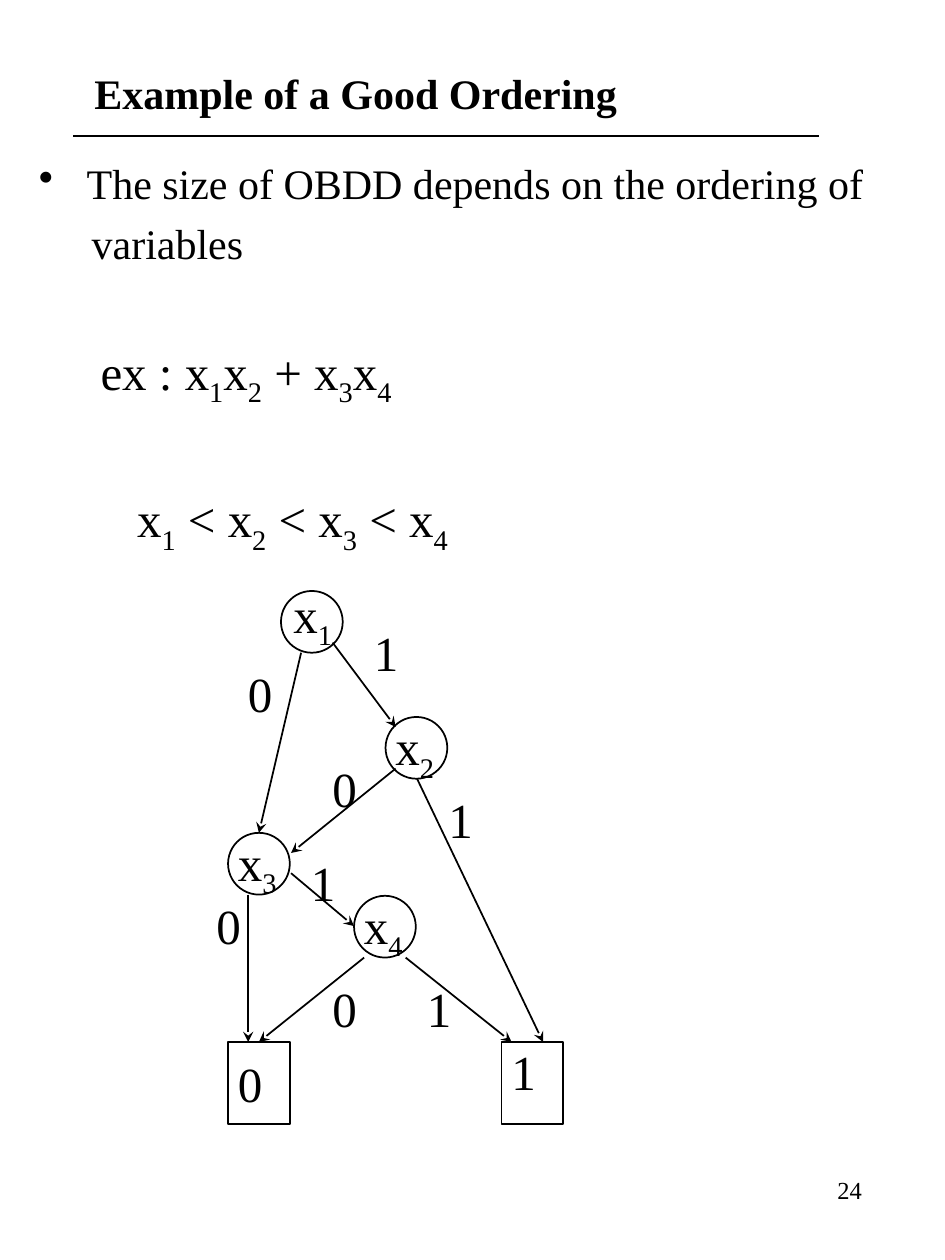
from lxml import etree
from pptx import Presentation
from pptx.dml.color import RGBColor
from pptx.enum.shapes import MSO_CONNECTOR, MSO_SHAPE
from pptx.enum.text import MSO_ANCHOR, PP_ALIGN
from pptx.oxml.ns import qn
from pptx.util import Inches, Pt

LINE = MSO_CONNECTOR.STRAIGHT
OVAL, RECT = MSO_SHAPE.OVAL, MSO_SHAPE.RECTANGLE
TOP, MID = MSO_ANCHOR.TOP, MSO_ANCHOR.MIDDLE
LEFT, RIGHT = PP_ALIGN.LEFT, PP_ALIGN.RIGHT
FONT = "Times New Roman"
COLORS = {"ink": "000000", "paper": "FFFFFF"}

TITLE = "Example of a Good Ordering"
PAGE = "24"
# text uses _ before each subscript digit
BODY = [
    ("The size of OBDD depends on the ordering of", 24, 0.38, 5.5, "•"),
    ("variables", 24, 0.42, 5.5, None),
    ("ex : x_1x_2 + x_3x_4", 28, 0.49, 42, None),
    ("x_1 < x_2 < x_3 < x_4", 28, 0.78, 46, None),
]
NODES = [
    ("x_1", OVAL, 2.23, 4.69, 0, -0.1),
    ("x_2", OVAL, 3.06, 5.69, -0.02, -0.05),
    ("x_3", OVAL, 1.81, 6.61, -0.02, -0.05),
    ("x_4", OVAL, 2.81, 7.11, -0.02, -0.05),
    ("0", RECT, 1.81, 8.27, -0.02, 0.04),
    ("1", RECT, 3.98, 8.27, -0.02, -0.05),
]
SIZES = {OVAL: (0.49, 0.49), RECT: (0.49, 0.65)}
EDGES = [
    (2.39, 5.18, 2.06, 6.6, "x_3"),
    (3.31, 6.18, 4.31, 8.27, None),
    (2.89, 7.6, 2.06, 8.27, "0"),
    (3.22, 7.6, 4.06, 8.27, None),
    (2.31, 6.93, 2.81, 7.35, None),
    (1.97, 7.1, 1.97, 8.27, None),
    (2.64, 5.1, 3.14, 5.77, None),
    (3.14, 6.1, 2.31, 6.77, None),
]
LABELS = [
    ("0", 1.87, 5.22), ("1", 2.87, 4.89), ("0", 2.54, 5.97), ("1", 3.46, 6.22),
    ("0", 1.62, 7.06), ("1", 2.37, 6.72), ("0", 2.54, 7.72), ("1", 3.29, 7.72),
]


def color(name):
    return RGBColor.from_string(COLORS[name])


def write(para, text, size, bold=False, align=LEFT):
    para.alignment = align
    font = para.font
    font.name, font.size, font.bold = FONT, Pt(size), bold
    font.color.rgb = color("ink")
    head, *rest = text.split("_")
    if head:
        para.add_run().text = head
    for part in rest:
        sub = para.add_run()
        sub.text = part[0]
        sub._r.get_or_add_rPr().set("baseline", "-25000")
        if part[1:]:
            para.add_run().text = part[1:]


def frame(x, y, w, h, wrap=False, anchor=TOP):
    box = slide.shapes.add_textbox(Inches(x), Inches(y), Inches(w), Inches(h))
    box.text_frame.word_wrap = wrap
    box.text_frame.vertical_anchor = anchor
    return box.text_frame


def label(text, x, y):
    width = 0.53 if "_" in text else 0.4
    write(frame(x, y, width, 0.57).paragraphs[0], text, 28)


def line(x1, y1, x2, y2):
    link = slide.shapes.add_connector(LINE, *map(Inches, (x1, y1, x2, y2)))
    link.line.color.rgb = color("ink")
    link.line.width = Pt(1)
    etree.SubElement(link._element.spPr, qn("a:effectLst"))
    return link


def node(kind, x, y):
    shape = slide.shapes.add_shape(kind, *map(Inches, (x, y, *SIZES[kind])))
    shape.shadow.inherit = False
    shape.fill.solid()
    shape.fill.fore_color.rgb = color("paper")
    shape.line.color.rgb = color("ink")
    shape.line.width = Pt(1)
    return shape


deck = Presentation()
deck.slide_width, deck.slide_height = Inches(7.5), Inches(10)
slide = deck.slides.add_slide(deck.slide_layouts[6])

title = frame(0.65, 0.31, 6.18, 0.86, True, MID)
write(title.paragraphs[0], TITLE, 24, True)

body = frame(0.21, 1.2, 6.94, 3.68, True)
for i, (text, size, left, space, mark) in enumerate(BODY):
    para = body.add_paragraph() if i else body.paragraphs[0]
    write(para, text, size)
    para.space_before = Pt(space)
    props = para._p.get_or_add_pPr()
    props.set("marL", str(Inches(left)))
    props.set("indent", str(-Inches(left) if mark else 0))
    if mark:
        bullet = etree.Element(qn("a:buChar"), char=mark)
        props.find(qn("a:defRPr")).addprevious(bullet)

line(0.58, 1.08, 6.5, 1.08)

nodes = {}
for text, kind, x, y, dx, dy in NODES:
    nodes[text] = node(kind, x, y)
for *ends, goal in EDGES:
    edge = line(*ends)
    if goal:
        edge.end_connect(nodes[goal], 0)
    etree.SubElement(edge.line._get_or_add_ln(), qn("a:tailEnd"), type="stealth")
for text, kind, x, y, dx, dy in NODES:
    label(text, x + dx, y + dy)
for item in LABELS:
    label(*item)

write(frame(5.38, 9.11, 1.56, 0.67, True, MID).paragraphs[0], PAGE, 14, align=RIGHT)

deck.save("out.pptx")
